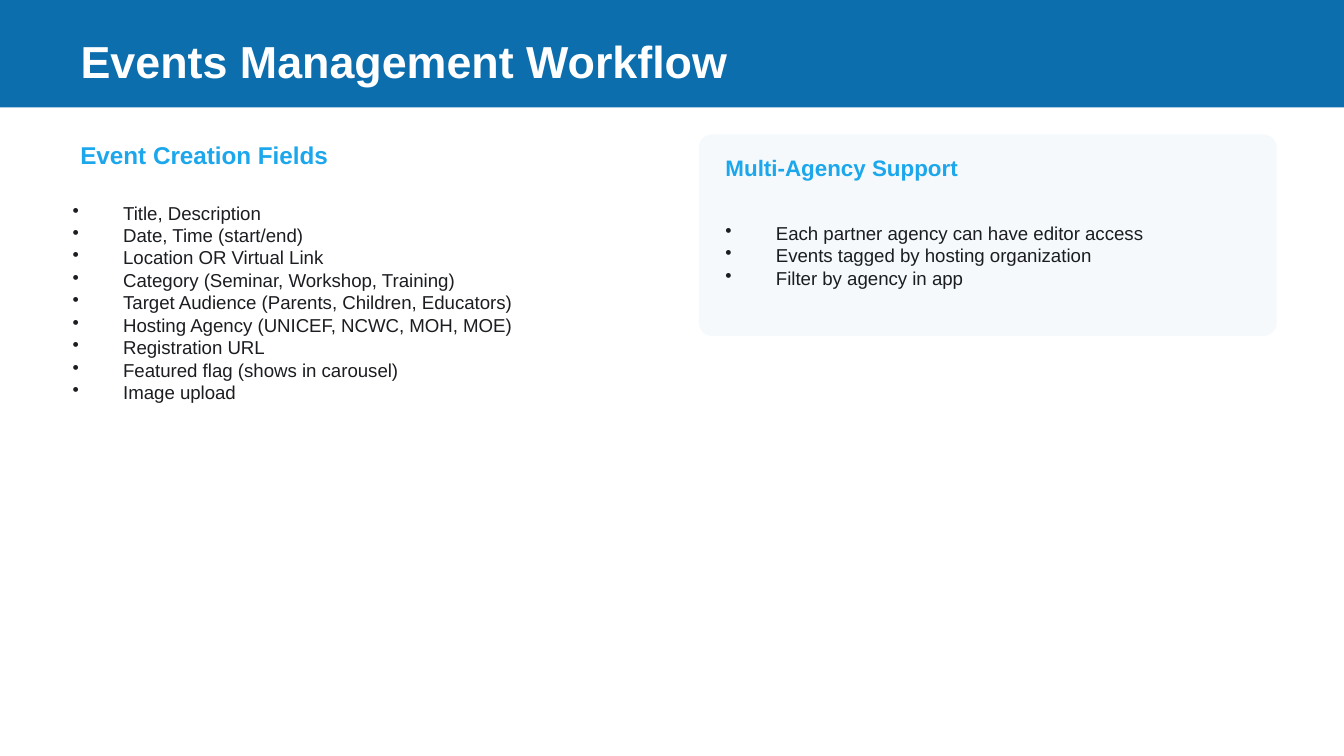
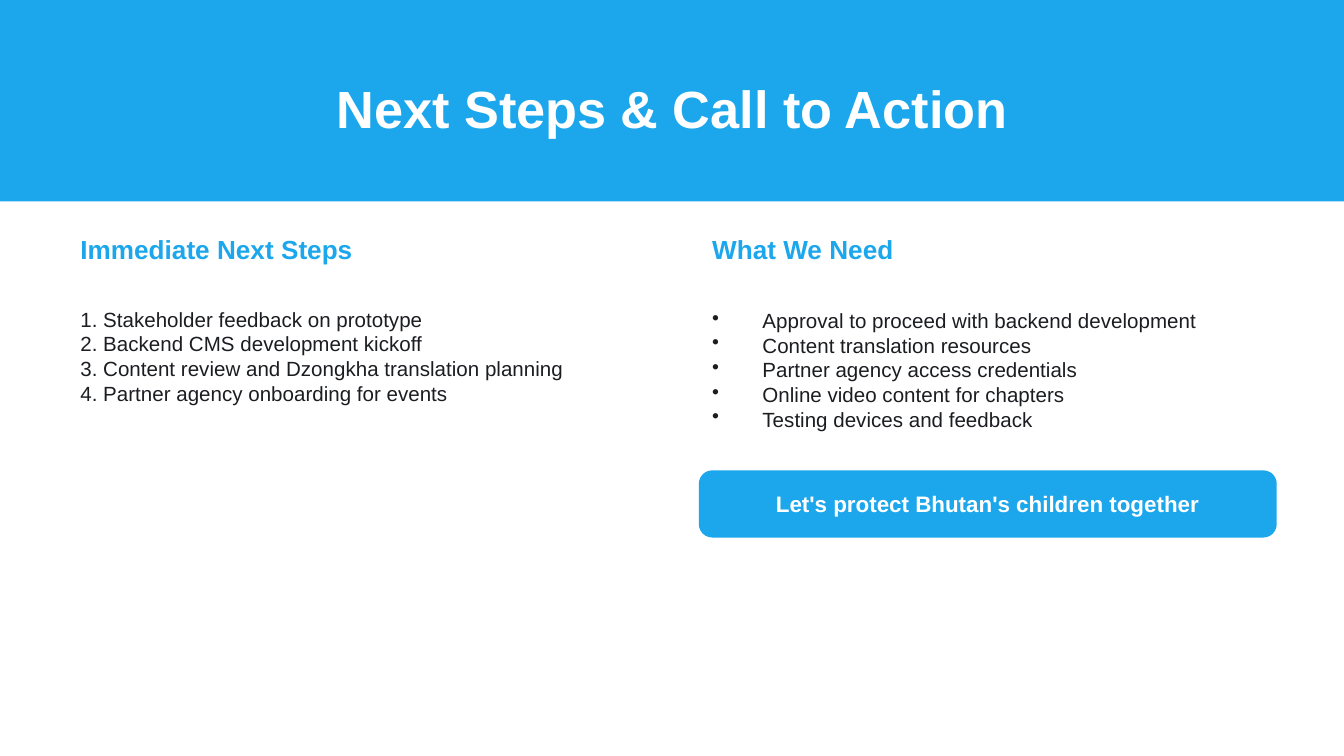
from lxml import etree
from pptx import Presentation
from pptx.dml.color import RGBColor
from pptx.enum import shapes, text
from pptx.oxml import ns
from pptx.util import Pt

COLOURS = {
    "navy": "0D6EAE",
    "sky": "1CA7EC",
    "panel": "F5F9FC",
    "ink": "1B1D21",
    "white": "FFFFFF",
}
FONT = "Arial"
WIDTH, HEIGHT = 720, 405
CORNER = 7.2
BULLET_INDENT = 27

# Every frame is (left, top, width, height) in points.
SLIDES = [
    {
        "title": ("Events Management Workflow", (36, 14.4, 648, 36), 24, "LEFT"),
        "band": ("navy", 57.6),
        "cards": [("panel", (374.4, 72, 309.6, 108), None)],
        "headings": [
            ("Event Creation Fields", (36, 72, 324, 21.6), 13),
            ("Multi-Agency Support", (381.6, 79.2, 288, 21.6), 12),
        ],
        "lists": [
            ([
                "Title, Description",
                "Date, Time (start/end)",
                "Location OR Virtual Link",
                "Category (Seminar, Workshop, Training)",
                "Target Audience (Parents, Children, Educators)",
                "Hosting Agency (UNICEF, NCWC, MOH, MOE)",
                "Registration URL",
                "Featured flag (shows in carousel)",
                "Image upload",
            ], (31.9, 64.8, 324, 194.4), 10, True),
            ([
                "Each partner agency can have editor access",
                "Events tagged by hosting organization",
                "Filter by agency in app",
            ], (381.6, 100.8, 288, 72), 10, True),
        ],
    },
    {
        "title": ("Next Steps & Call to Action", (36, 36, 648, 43.2), 28, "CENTER"),
        "band": ("sky", 108),
        "cards": [("sky", (374.4, 252, 309.6, 36),
                   "Let's protect Bhutan's children together")],
        "headings": [
            ("Immediate Next Steps", (36, 122.4, 324, 21.6), 14),
            ("What We Need", (374.4, 122.4, 309.6, 21.6), 14),
        ],
        "lists": [
            ([
                "1. Stakeholder feedback on prototype",
                "2. Backend CMS development kickoff",
                "3. Content review and Dzongkha translation planning",
                "4. Partner agency onboarding for events",
            ], (36, 144, 324, 93.6), 11, False),
            ([
                "Approval to proceed with backend development",
                "Content translation resources",
                "Partner agency access credentials",
                "Online video content for chapters",
                "Testing devices and feedback",
            ], (374.4, 144, 309.6, 108), 11, True),
        ],
    },
]


def colour(name):
    return RGBColor.from_string(COLOURS[name])


def points(frame):
    return [Pt(value) for value in frame]


def add_bullet(para):
    props = para._p.get_or_add_pPr()
    props.set("marL", str(Pt(BULLET_INDENT)))
    props.set("indent", str(-Pt(BULLET_INDENT)))
    etree.SubElement(props, ns.qn("a:buChar")).set("char", "•")


def write(box, lines, size, ink, bold=False, align="LEFT", bullets=False):
    frame = box.text_frame
    layout = {"word_wrap": True, "auto_size": text.MSO_AUTO_SIZE.NONE,
              "vertical_anchor": text.MSO_ANCHOR.MIDDLE}
    for name, value in layout.items():
        setattr(frame, name, value)
    style = {"name": FONT, "size": Pt(size), "bold": bold}
    for index, line in enumerate(lines):
        para = frame.add_paragraph() if index else frame.paragraphs[0]
        para.alignment = getattr(text.PP_ALIGN, align)
        if bullets:
            add_bullet(para)
        span = para.add_run()
        span.text = line
        for name, value in style.items():
            setattr(span.font, name, value)
        span.font.color.rgb = colour(ink)


def add_panel(slide, kind, frame, fill):
    panel = slide.shapes.add_shape(kind, *points(frame))
    panel.shadow.inherit = False
    panel.fill.solid()
    panel.fill.fore_color.rgb = colour(fill)
    panel.line.fill.background()
    return panel


def add_header(slide, title, band):
    """Place the title over a full-width band."""
    fill, height = band
    strip = add_panel(slide, shapes.MSO_SHAPE.RECTANGLE, (0, 0, WIDTH, height), fill)
    heading, frame, size, align = title
    box = slide.shapes.title
    box._element.addprevious(strip._element)
    box.left, box.top, box.width, box.height = points(frame)
    write(box, [heading], size, "white", bold=True, align=align)


def build_slide(deck, content):
    slide = deck.slides.add_slide(deck.slide_layouts[5])
    slide.background.fill.solid()
    slide.background.fill.fore_color.rgb = colour("white")
    add_header(slide, content["title"], content["band"])
    for fill, frame, label in content["cards"]:
        card = add_panel(slide, shapes.MSO_SHAPE.ROUNDED_RECTANGLE, frame, fill)
        card.adjustments[0] = CORNER / min(frame[2:])
        if label:
            write(card, [label], 12, "white", bold=True, align="CENTER")
    for heading, frame, size in content["headings"]:
        box = slide.shapes.add_textbox(*points(frame))
        write(box, [heading], size, "sky", bold=True)
    for lines, frame, size, bullets in content["lists"]:
        box = slide.shapes.add_textbox(*points(frame))
        write(box, lines, size, "ink", bullets=bullets)


def main():
    deck = Presentation()
    deck.slide_width, deck.slide_height = Pt(WIDTH), Pt(HEIGHT)
    for content in SLIDES:
        build_slide(deck, content)
    deck.save("out.pptx")


if __name__ == "__main__":
    main()
